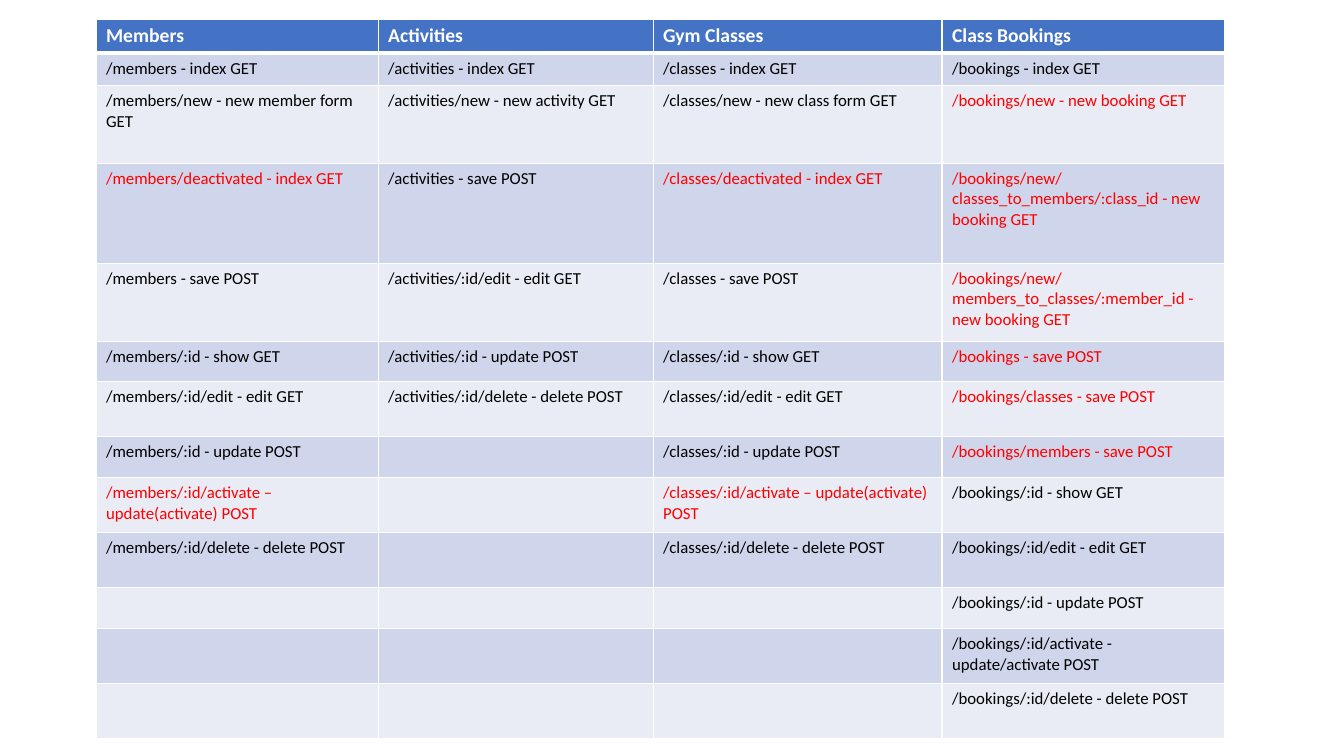
import dataclasses
import lxml.etree
import pptx
import pptx.dml.color
import pptx.oxml.ns
import pptx.util

Cm = pptx.util.Cm


@dataclasses.dataclass(frozen=True)
class Theme:
    font: str = "Calibri"
    head: str = "4472C4"
    bands: tuple = ("CFD5EA", "E9EBF5")
    white: str = "FFFFFF"
    black: str = "000000"
    red: str = "FF0000"
    big: int = 14
    small: int = 12
    thin: int = 1
    thick: int = 3


@dataclasses.dataclass(frozen=True)
class Column:
    title: str
    width: float
    routes: tuple
    reds: tuple = ()


THEME = Theme()
ROWS = (0.82, 0.82, 1.96, 2.52, 1.96, 1.02, 1.39, 1.02, 1.39, 1.39, 1.02, 1.39, 1.39)
COLUMNS = (
    Column("Members", 7.11, (
        "/members - index GET",
        "/members/new - new member form GET",
        "/members/deactivated - index GET",
        "/members - save POST",
        "/members/:id - show GET",
        "/members/:id/edit - edit GET",
        "/members/:id - update POST",
        "/members/:id/activate – update(activate) POST",
        "/members/:id/delete - delete POST",
    ), (3, 8)),
    Column("Activities", 6.93, (
        "/activities - index GET",
        "/activities/new - new activity GET",
        "/activities - save POST",
        "/activities/:id/edit - edit GET",
        "/activities/:id - update POST",
        "/activities/:id/delete - delete POST",
    )),
    Column("Gym Classes", 7.28, (
        "/classes - index GET",
        "/classes/new - new class form GET",
        "/classes/deactivated - index GET",
        "/classes - save POST",
        "/classes/:id - show GET",
        "/classes/:id/edit - edit GET",
        "/classes/:id - update POST",
        "/classes/:id/activate – update(activate) POST",
        "/classes/:id/delete - delete POST",
    ), (3, 8)),
    Column("Class Bookings", 7.11, (
        "/bookings - index GET",
        "/bookings/new - new booking GET",
        "/bookings/new/classes_to_members/:class_id - new booking GET",
        "/bookings/new/members_to_classes/:member_id - new booking GET",
        "/bookings - save POST",
        "/bookings/classes - save POST",
        "/bookings/members - save POST",
        "/bookings/:id - show GET",
        "/bookings/:id/edit - edit GET",
        "/bookings/:id - update POST",
        "/bookings/:id/activate - update/activate POST",
        "/bookings/:id/delete - delete POST",
    ), tuple(range(2, 8))),
)


def paint(fill, color):
    fill.solid()
    fill.fore_color.rgb = pptx.dml.color.RGBColor.from_string(color)


def add_edge(cell, side, width):
    qn = pptx.oxml.ns.qn
    props = cell._tc.get_or_add_tcPr()
    line = lxml.etree.SubElement(props, qn(f"a:ln{side}"), w=str(pptx.util.Pt(width)))
    solid = lxml.etree.SubElement(line, qn("a:solidFill"))
    lxml.etree.SubElement(solid, qn("a:srgbClr"), val=THEME.white)


def add_run(cell, text, size, color, bold):
    run = cell.text_frame.paragraphs[0].add_run()
    run.text = text
    run.font.name = THEME.font
    run.font.size = pptx.util.Pt(size)
    run.font.bold = bold
    paint(run.font.fill, color)


def frame_cell(cell, row):
    thick_side = {0: "B", 1: "T"}.get(row)
    for side in "LRTB":
        add_edge(cell, side, THEME.thick if side == thick_side else THEME.thin)
    paint(cell.fill, THEME.bands[(row - 1) % 2] if row else THEME.head)


def fill_column(table, index, column):
    table.columns[index].width = Cm(column.width)
    for row in range(len(ROWS)):
        frame_cell(table.cell(row, index), row)
    add_run(table.cell(0, index), column.title, THEME.big, THEME.white, True)
    for row, route in enumerate(column.routes, 1):
        color = THEME.red if row in column.reds else THEME.black
        add_run(table.cell(row, index), route, THEME.small, color, False)


def add_routes(slide):
    width = sum(column.width for column in COLUMNS)
    table = slide.shapes.add_table(
        len(ROWS), len(COLUMNS), Cm(2.42), Cm(0.48), Cm(width), Cm(sum(ROWS))).table
    for row, height in zip(table.rows, ROWS):
        row.height = Cm(height)
    for index, column in enumerate(COLUMNS):
        fill_column(table, index, column)


def main():
    deck = pptx.Presentation()
    deck.slide_width = Cm(33.87)
    deck.slide_height = Cm(19.05)
    slide = deck.slides.add_slide(deck.slide_layouts[6])
    paint(slide.background.fill, THEME.white)
    add_routes(slide)
    deck.save("out.pptx")


if __name__ == "__main__":
    main()
